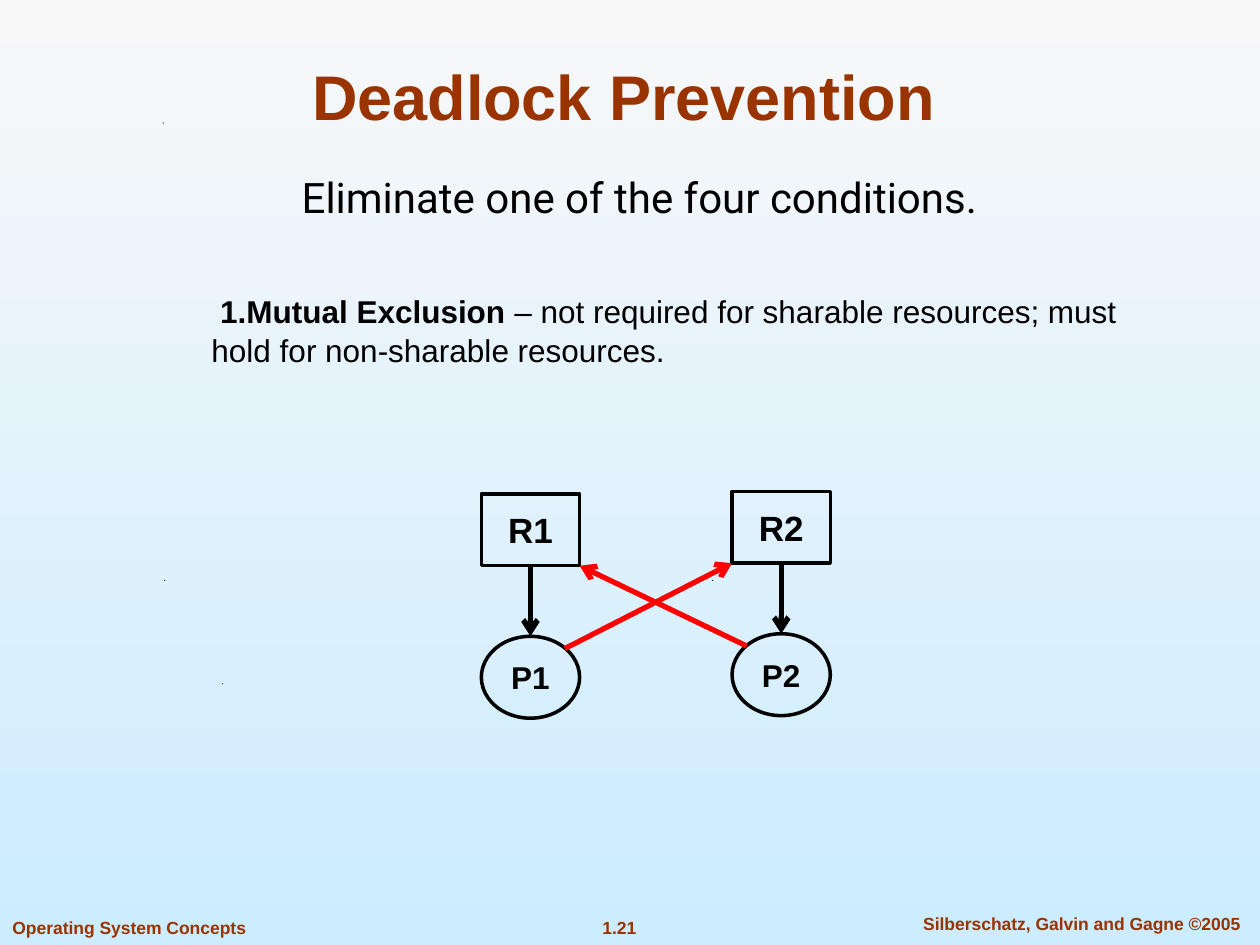
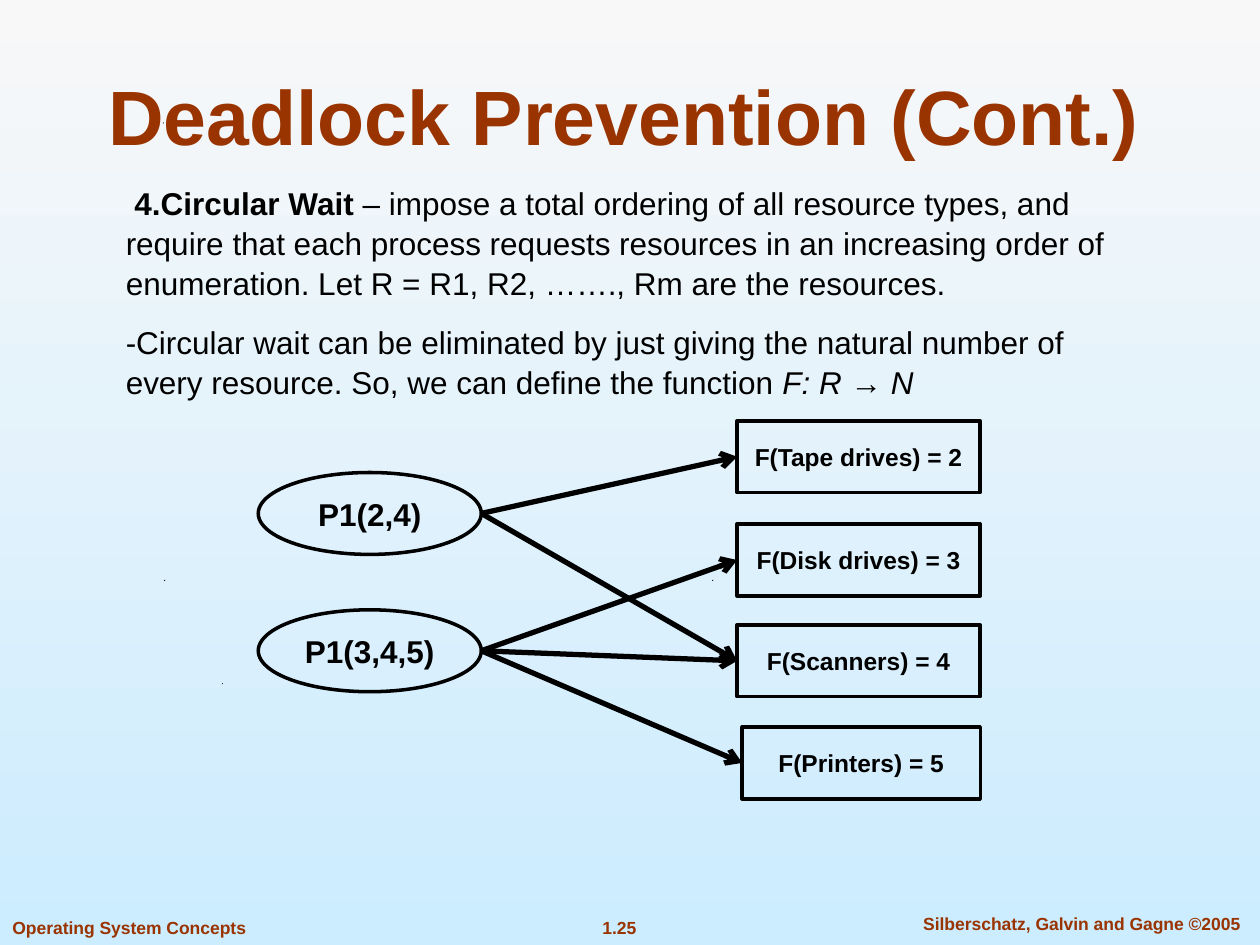
import lxml.etree
import pptx
import pptx.dml.color
import pptx.enum.shapes
import pptx.enum.text
import pptx.oxml.ns
import pptx.util

Inches = pptx.util.Inches
Pt = pptx.util.Pt
RGBColor = pptx.dml.color.RGBColor
Shape = pptx.enum.shapes.MSO_SHAPE
Align = pptx.enum.text.PP_ALIGN
Anchor = pptx.enum.text.MSO_ANCHOR
qn = pptx.oxml.ns.qn

RUST = RGBColor(0x99, 0x33, 0x00)
BLACK = RGBColor(0x00, 0x00, 0x00)
RED = RGBColor(0xFF, 0x00, 0x00)
SKY_TOP = RGBColor(0xF8, 0xF8, 0xF8)
SKY_BOTTOM = RGBColor(0xCC, 0xEC, 0xFF)

FOOTERS = (
    (0, 7.23, 2.21, "Operating System Concepts", Align.LEFT),
    (7.1, 7.2, 2.97, "Silberschatz, Galvin and Gagne ©2005", Align.CENTER),
)
SPECKS = ((1.76, 5.42), (1.3, 4.6), (5.65, 4.6), (1.29, 0.97))
SPECK_SIZE = 0.01

TOP, BOTTOM, LEFT, RIGHT = (0.5, 0), (0.5, 1), (0, 0.5), (1, 0.5)
BOTTOM_LEFT, BOTTOM_RIGHT = (0, 1), (1, 1)
OVAL_TOP_LEFT, OVAL_TOP_RIGHT = (0.15, 0.15), (0.85, 0.15)


class Lecture:
    def __init__(self):
        self.deck = pptx.Presentation()
        self.deck.slide_width = Inches(10)
        self.deck.slide_height = Inches(7.5)
        self.page = None

    def new_page(self, number):
        self.page = self.deck.slides.add_slide(self.deck.slide_layouts[6])
        fill = self.page.background.fill
        fill.gradient()
        fill.gradient_angle = 270
        for stop, color in zip(fill.gradient_stops, (SKY_TOP, SKY_BOTTOM)):
            stop.color.rgb = color
        for left, top in SPECKS:
            self.speck(left, top)
        for left, top, width, label, align in FOOTERS:
            self.footer(left, top, width, label, align)
        self.footer(4.57, 7.23, 0.69, number, Align.CENTER)

    def speck(self, left, top):
        right, bottom = left + SPECK_SIZE, top + SPECK_SIZE
        builder = self.page.shapes.build_freeform(Inches(left), Inches(bottom))
        builder.add_line_segments([(Inches(right), Inches(top)), (Inches(right), Inches(bottom))])
        shape = builder.convert_to_shape()
        shape.shadow.inherit = False
        shape.fill.solid()
        shape.fill.fore_color.rgb = BLACK
        shape.line.fill.background()

    def add_span(self, para, words, size, color=BLACK, font="Arial", bold=False, italic=False):
        span = para.add_run()
        span.text = words
        span.font.name = font
        span.font.size = Pt(size)
        span.font.color.rgb = color
        span.font.bold = bold
        span.font.italic = italic

    def text_frame(self, left, top, width, height, anchor=Anchor.TOP):
        box = self.page.shapes.add_textbox(Inches(left), Inches(top), Inches(width), Inches(height))
        frame = box.text_frame
        frame.word_wrap = True
        frame.vertical_anchor = anchor
        return frame

    def line_of_text(self, frame, words, size, align=Align.CENTER, **style):
        para = frame.paragraphs[0]
        para.alignment = align
        self.add_span(para, words, size, **style)

    def footer(self, left, top, width, words, align):
        frame = self.text_frame(left, top, width, 0.27)
        self.line_of_text(frame, words, 10, align, color=RUST, bold=True)

    def title(self, left, top, width, height, words, size):
        frame = self.text_frame(left, top, width, height, Anchor.BOTTOM)
        self.line_of_text(frame, words, size, color=RUST, bold=True)

    def subtitle(self, left, top, width, height, words):
        frame = self.text_frame(left, top, width, height, Anchor.MIDDLE)
        self.line_of_text(frame, words, 24, font="Roboto")

    def body(self, left, top, width, height, paragraphs):
        frame = self.text_frame(left, top, width, height)
        for index, spans in enumerate(paragraphs):
            para = frame.add_paragraph() if index else frame.paragraphs[0]
            para.line_spacing = 1.05
            if index:
                para.space_before = Pt(11.2)
            for words, style in spans:
                self.add_span(para, words, 18, **style)

    def node(self, kind, left, top, width, height, label, size):
        shape = self.page.shapes.add_shape(
            kind, Inches(left), Inches(top), Inches(width), Inches(height))
        shape.shadow.inherit = False
        shape.fill.background()
        shape.line.color.rgb = BLACK
        shape.line.width = Pt(2)
        frame = shape.text_frame
        frame.margin_left = frame.margin_right = 0
        frame.vertical_anchor = Anchor.MIDDLE
        self.line_of_text(frame, label, size, bold=True)
        return shape

    def resource(self, left, top, width, label, size):
        return self.node(Shape.RECTANGLE, left, top, width, 0.57, label, size)

    def process(self, left, top, width, label):
        return self.node(Shape.OVAL, left, top, width, 0.65, label, 18)

    def arrow(self, source, source_spot, target, target_spot, color=BLACK):
        ends = []
        for shape, (across, down) in ((source, source_spot), (target, target_spot)):
            ends += [int(shape.left + across * shape.width), int(shape.top + down * shape.height)]
        link = self.page.shapes.add_connector(pptx.enum.shapes.MSO_CONNECTOR.STRAIGHT, *ends)
        link.line.color.rgb = color
        link.line.width = Pt(3)
        properties = link._element.spPr
        lxml.etree.SubElement(properties.find(qn("a:ln")), qn("a:tailEnd"), type="arrow")
        lxml.etree.SubElement(properties, qn("a:effectLst"))


def mutual_exclusion(lecture):
    lecture.new_page("1.21")
    lecture.title(0.91, 0.28, 8.08, 0.83, "Deadlock Prevention", 36)
    lecture.body(1.58, 2.25, 7.42, 4.33, [[
        (" 1.Mutual Exclusion", {"bold": True}),
        (" – not required for sharable resources; must hold for non-sharable resources.", {}),
    ]])
    lecture.subtitle(0.91, 1.31, 8.33, 0.5, "Eliminate one of the four conditions.")
    pairs = []
    for number, left, top in ((1, 3.82, 3.92), (2, 5.81, 3.9)):
        resource = lecture.resource(left, top, 0.78, f"R{number}", 20)
        process = lecture.process(left, top + 1.13, 0.78, f"P{number}")
        lecture.arrow(resource, BOTTOM, process, TOP)
        pairs.append((resource, process))
    (first_resource, first_process), (second_resource, second_process) = pairs
    lecture.arrow(first_process, OVAL_TOP_RIGHT, second_resource, BOTTOM_LEFT, RED)
    lecture.arrow(second_process, OVAL_TOP_LEFT, first_resource, BOTTOM_RIGHT, RED)


def circular_wait(lecture):
    lecture.new_page("1.25")
    lecture.title(0.58, 0.25, 8.75, 1.08, "Deadlock Prevention (Cont.)", 44)
    lecture.body(0.9, 1.4, 8.04, 4.9, [
        [
            (" 4.Circular Wait", {"bold": True}),
            (" – impose a total ordering of all resource types, and require that each process "
             "requests resources in an increasing order of enumeration. "
             "Let R = R1, R2, ……., Rm are the resources.", {}),
        ],
        [
            ("-Circular wait can be eliminated by just giving the natural number of every "
             "resource. So, we can define the function ", {}),
            ("F: R → N", {"italic": True}),
        ],
    ])
    devices = {}
    for order, name, left, top in (
        (2, "Tape drives", 5.85, 3.34),
        (3, "Disk drives", 5.85, 4.16),
        (4, "Scanners", 5.85, 4.96),
        (5, "Printers", 5.89, 5.77),
    ):
        devices[order] = lecture.resource(left, top, 7.78 - left, f"F({name}) = {order}", 14)
    for top, orders in ((3.75, (2, 4)), (4.84, (3, 4, 5))):
        label = f"P1({','.join(map(str, orders))})"
        process = lecture.process(2.05, top, 1.77, label)
        for order in orders:
            lecture.arrow(process, RIGHT, devices[order], LEFT)


def main():
    lecture = Lecture()
    mutual_exclusion(lecture)
    circular_wait(lecture)
    lecture.deck.save("out.pptx")


if __name__ == "__main__":
    main()
